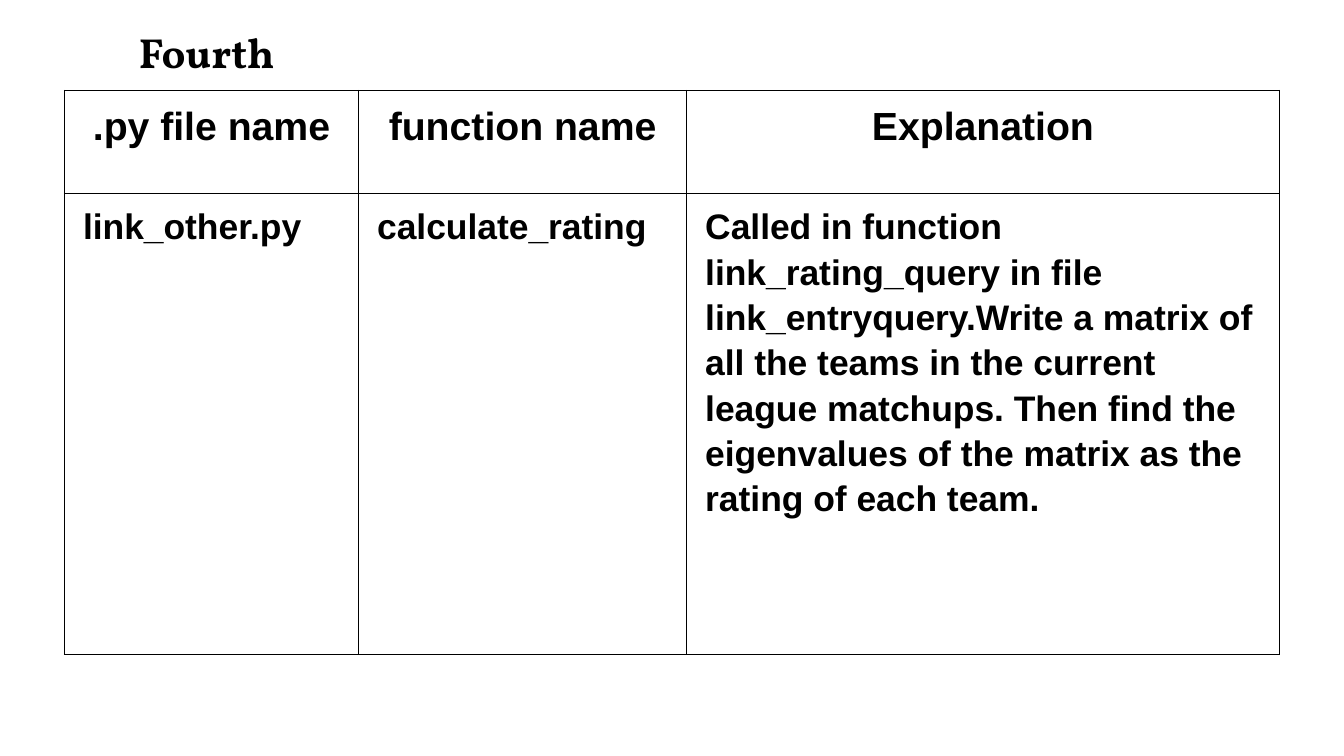
from dataclasses import dataclass

from lxml.etree import SubElement
from pptx import Presentation
from pptx.dml.color import RGBColor as Color
from pptx.enum.text import MSO_ANCHOR as Anchor
from pptx.enum.text import MSO_AUTO_SIZE as AutoSize
from pptx.enum.text import PP_ALIGN as Align
from pptx.oxml.ns import qn
from pptx.util import Cm, Pt


@dataclass(frozen=True)
class Theme:
    ink: str = "000000"
    paper: str = "FFFFFF"
    title_font: str = "Vollkorn"
    body_font: str = "Arial"
    title_size: float = 22.5
    header_size: float = 21
    body_size: float = 19
    line_spacing: float = 1.15
    border: float = 0.75


class SlideBuilder:
    def __init__(self, slide, theme):
        self.slide = slide
        self.theme = theme

    def style(self, para, font_name, size, align):
        para.alignment = align
        font = para.font
        font.name, font.size, font.bold = font_name, Pt(size), True
        font.color.rgb = Color.from_string(self.theme.ink)

    def title(self, text, left, top, width, height):
        box = self.slide.shapes.title
        box.left, box.top = Cm(left), Cm(top)
        box.width, box.height = Cm(width), Cm(height)
        frame = box.text_frame
        frame.text = text
        frame.word_wrap = True
        frame.auto_size = AutoSize.NONE
        frame.vertical_anchor = Anchor.TOP
        frame.margin_left = frame.margin_right = Cm(0.25)
        frame.margin_top = frame.margin_bottom = Cm(0.25)
        self.style(frame.paragraphs[0], self.theme.title_font,
                   self.theme.title_size, Align.CENTER)

    def table(self, rows, left, top, widths, heights):
        frame = self.slide.shapes.add_table(
            len(rows), len(widths), Cm(left), Cm(top),
            Cm(sum(widths)), Cm(sum(heights)))
        table = frame.table
        table.first_row = table.horz_banding = False
        for column, width in zip(table.columns, widths):
            column.width = Cm(width)
        for row, height in zip(table.rows, heights):
            row.height = Cm(height)
        for row_index, texts in enumerate(rows):
            for column_index, text in enumerate(texts):
                self.cell(table.cell(row_index, column_index), text,
                          is_header=row_index == 0)

    def cell(self, cell, text, is_header):
        theme = self.theme
        cell.text = text
        cell.vertical_anchor = Anchor.TOP
        cell.margin_left = cell.margin_right = Cm(0.35)
        cell.margin_top = cell.margin_bottom = Cm(0.16)
        para = cell.text_frame.paragraphs[0]
        para.line_spacing = theme.line_spacing
        self.style(para, theme.body_font,
                   theme.header_size if is_header else theme.body_size,
                   Align.CENTER if is_header else Align.LEFT)
        # Borders come before the fill in the cell properties
        properties = cell._tc.get_or_add_tcPr()
        for side in ("lnL", "lnR", "lnT", "lnB"):
            line = SubElement(properties, qn(f"a:{side}"), w=str(Pt(theme.border)))
            fill = SubElement(line, qn("a:solidFill"))
            SubElement(fill, qn("a:srgbClr"), val=theme.ink)
        cell.fill.solid()
        cell.fill.fore_color.rgb = Color.from_string(theme.paper)


def main():
    deck = Presentation()
    deck.slide_width, deck.slide_height = Cm(25.4), Cm(14.29)
    title_only = deck.slide_layouts[5]
    builder = SlideBuilder(deck.slides.add_slide(title_only), Theme())

    # Heading
    builder.title("Fourth", 1.47, 0.25, 4.88, 1.47)

    # Function overview
    builder.table(
        [
            (".py file name", "function name", "Explanation"),
            ("link_other.py", "calculate_rating",
             "Called in function link_rating_query in file "
             "link_entryquery.Write a matrix of all the teams in the current "
             "league matchups. Then find the eigenvalues of the matrix as the "
             "rating of each team."),
        ],
        left=1.22, top=1.71, widths=(5.56, 6.2, 11.2), heights=(1.95, 8.71))

    deck.save("out.pptx")


if __name__ == "__main__":
    main()
